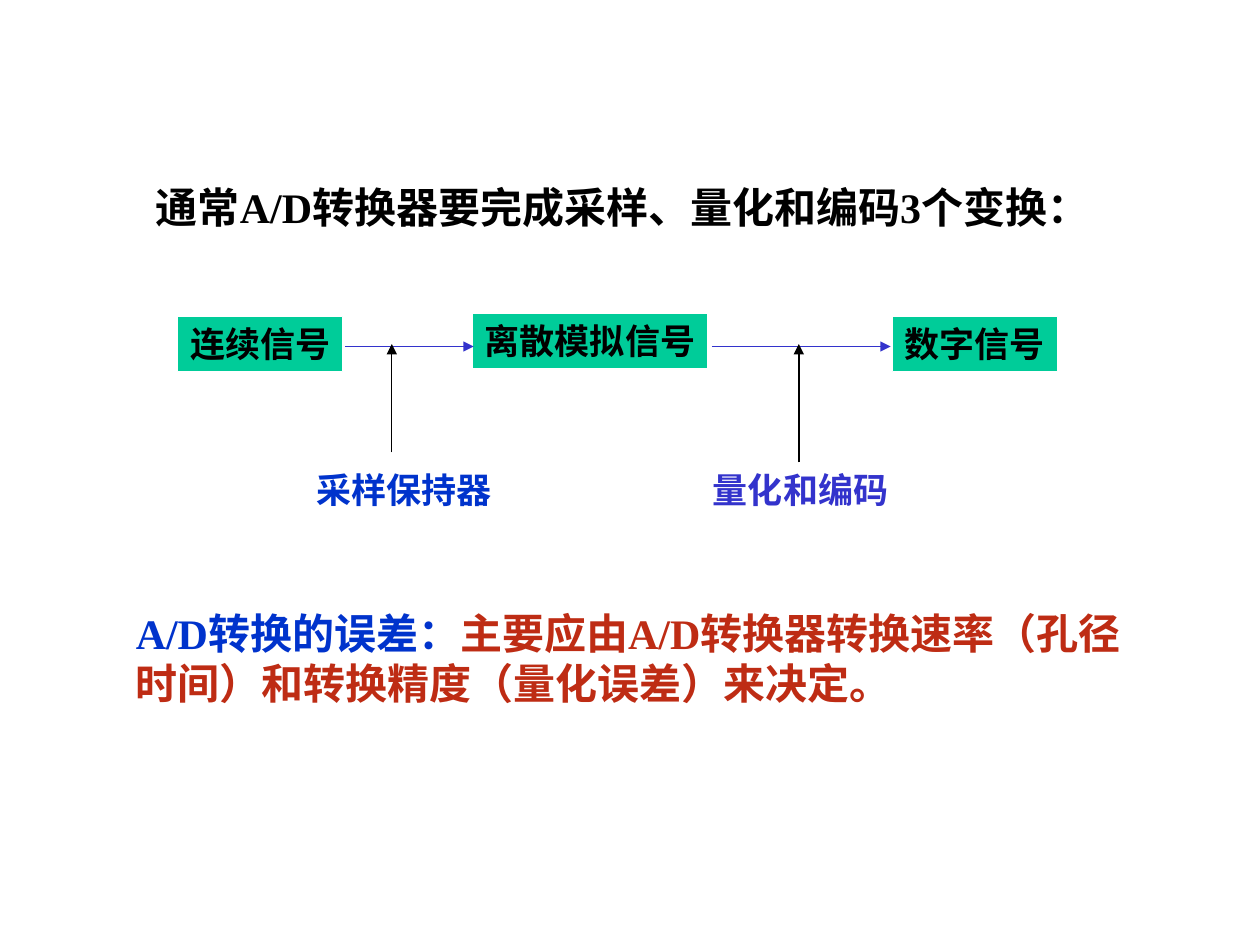
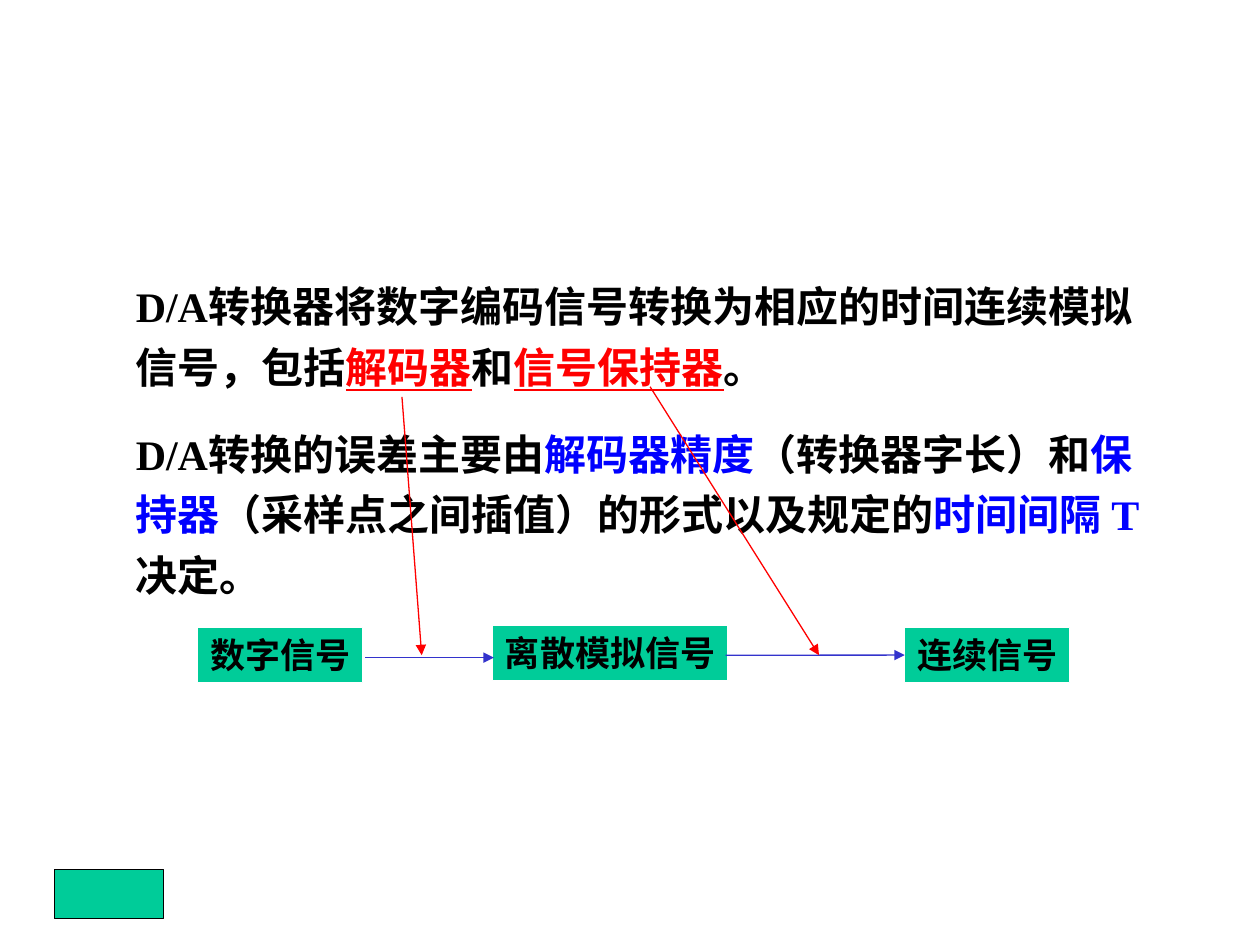
from typing import NamedTuple, Optional

from lxml.etree import SubElement
from pptx import Presentation
from pptx.dml.color import RGBColor
from pptx.enum.shapes import MSO_CONNECTOR, MSO_SHAPE
from pptx.enum.text import MSO_ANCHOR, MSO_AUTO_SIZE, PP_ALIGN
from pptx.oxml.ns import qn
from pptx.shapes.autoshape import Shape
from pptx.slide import Slide
from pptx.util import Pt

COLORS = {
    "ink": "000000",
    "white": "FFFFFF",
    "green": "00CC99",
    "royal": "0033CC",
    "indigo": "3333CC",
    "blue": "0000FF",
    "brick": "BE2C14",
    "red": "FF0000",
}
FONT = "Times New Roman"
BODY_SIZE, LABEL_SIZE = 24, 20
LINE_WIDTH = 0.75
LABEL_HEIGHT = 31.7
SIDE_TOP_OFFSET = 1.4  # outer signals sit slightly below the middle one
LEFT_SIDE = 1


class Words(NamedTuple):
    text: str
    color: str = "ink"
    underline: bool = False


class Signal(NamedTuple):
    name: str
    left: float
    top: float
    width: float


class Arrow(NamedTuple):
    x1: float
    y1: float
    x2: float
    y2: float
    color: str
    target: Optional[Shape] = None


class Note(NamedTuple):
    """A converter part, with an arrow up to the step it performs."""
    words: Words
    left: float
    arrow_x: float
    arrow_bottom: float


def rgb(color: str) -> RGBColor:
    return RGBColor.from_string(COLORS[color])


def write(shape: Shape, paragraphs: list[list[Words]], size: float, wrap: bool,
          line_spacing: float = 1.0, gap: float = 0) -> None:
    frame = shape.text_frame
    frame.word_wrap = wrap
    frame.auto_size = MSO_AUTO_SIZE.SHAPE_TO_FIT_TEXT
    frame.vertical_anchor = MSO_ANCHOR.TOP
    for index, pieces in enumerate(paragraphs):
        paragraph = frame.add_paragraph() if index else frame.paragraphs[0]
        paragraph.alignment = PP_ALIGN.LEFT
        paragraph.line_spacing = line_spacing
        if index:
            paragraph.space_before = Pt(gap)
        for words in pieces:
            run = paragraph.add_run()
            run.text = words.text
            font = run.font
            font.name, font.size, font.bold = FONT, Pt(size), True
            font.underline = words.underline
            font.color.rgb = rgb(words.color)


def add_text(slide: Slide, left: float, top: float, width: float, height: float,
             paragraphs: list[list[Words]], size: float = BODY_SIZE, wrap: bool = True,
             line_spacing: float = 1.0, gap: float = 0) -> None:
    box = slide.shapes.add_textbox(Pt(left), Pt(top), Pt(width), Pt(height))
    write(box, paragraphs, size, wrap, line_spacing, gap)


def add_green_box(slide: Slide, left: float, top: float, width: float, height: float,
                  outline: str) -> Shape:
    box = slide.shapes.add_shape(MSO_SHAPE.RECTANGLE, Pt(left), Pt(top), Pt(width), Pt(height))
    box.shadow.inherit = False
    box.fill.solid()
    box.fill.fore_color.rgb = rgb("green")
    box.line.color.rgb = rgb(outline)
    box.line.width = Pt(LINE_WIDTH)
    return box


def add_signals(slide: Slide, names: list[str], lefts: list[float], top: float) -> list[Shape]:
    """Draw the three signal forms; the middle one is wider and a little higher."""
    widths = [94.3, 134.6, 94.3]
    tops = [top + SIDE_TOP_OFFSET, top, top + SIDE_TOP_OFFSET]
    boxes = []
    for signal in map(Signal, names, lefts, tops, widths):
        box = add_green_box(slide, signal.left, signal.top, signal.width, LABEL_HEIGHT, "white")
        write(box, [[Words(signal.name)]], LABEL_SIZE, wrap=False)
        boxes.append(box)
    return boxes


def add_arrow(slide: Slide, arrow: Arrow) -> None:
    line = slide.shapes.add_connector(MSO_CONNECTOR.STRAIGHT, Pt(arrow.x1), Pt(arrow.y1),
                                      Pt(arrow.x2), Pt(arrow.y2))
    if arrow.target is not None:
        line.end_connect(arrow.target, LEFT_SIDE)
    line.line.color.rgb = rgb(arrow.color)
    line.line.width = Pt(LINE_WIDTH)
    properties = line._element.spPr
    SubElement(properties.find(qn("a:ln")), qn("a:tailEnd"), type="triangle")
    SubElement(properties, qn("a:effectLst"))


def build_ad_slide(slide: Slide) -> None:
    add_text(slide, 82, 100, 574.5, 36, [[Words("通常A/D转换器要完成采样、量化和编码3个变换：")]])
    add_text(slide, 70.5, 343.4, 579.6, 65, [[
        Words("A/D转换的误差：", "royal"),
        Words("主要应由A/D转换器转换速率（孔径时间）和转换精度（量化误差）来决定。", "brick"),
    ]])

    add_signals(slide, ["连续信号", "离散模拟信号", "数字信号"], [101.5, 270, 509.8], 179.3)
    flow_y = 198
    for start, end in [(197.3, 270.7), (406.8, 509)]:
        add_arrow(slide, Arrow(start, flow_y, end, flow_y, "indigo"))

    for note in [
        Note(Words("采样保持器", "royal"), 173.5, 223.9, 258.5),
        Note(Words("量化和编码", "indigo"), 400.3, 456.5, 264.2),
    ]:
        add_text(slide, note.left, 264.2, 114.5, LABEL_HEIGHT, [[note.words]],
                 LABEL_SIZE, wrap=False)
        add_arrow(slide, Arrow(note.arrow_x, note.arrow_bottom, note.arrow_x, 196.6, "ink"))


def build_da_slide(slide: Slide) -> None:
    converter = [
        Words("D/A转换器将数字编码信号转换为相应的时间连续模拟信号，包括"),
        Words("解码器", "red", True),
        Words("和"),
        Words("信号保持器", "red", True),
        Words("。"),
    ]
    error = [
        Words("D/A转换的误差主要由"),
        Words("解码器精度", "blue"),
        Words("（转换器字长）和"),
        Words("保持器", "blue"),
        Words("（采样点之间插值）的形式以及规定的"),
        Words("时间间隔 T ", "blue"),
        Words("决定。"),
    ]
    add_text(slide, 70.5, 151.2, 589.7, 195, [converter, error], line_spacing=1.2, gap=15)

    *_, continuous = add_signals(slide, ["数字信号", "离散模拟信号", "连续信号"],
                                 [113, 281.5, 517], 357.1)
    for arrow in [
        Arrow(208.8, 375.8, 282.2, 375.8, "indigo"),
        Arrow(414.7, 374.4, 517, 374.4, "indigo", continuous),
        Arrow(229.7, 226.8, 241, 374.4, "red"),
        Arrow(371.5, 221, 468, 374.4, "red"),
    ]:
        add_arrow(slide, arrow)
    add_green_box(slide, 31, 496.8, 62.6, 28.1, "ink")


def main() -> None:
    deck = Presentation()
    deck.slide_width, deck.slide_height = Pt(720), Pt(540)
    blank = deck.slide_layouts[6]
    for build in (build_ad_slide, build_da_slide):
        build(deck.slides.add_slide(blank))
    deck.save("out.pptx")


if __name__ == "__main__":
    main()
